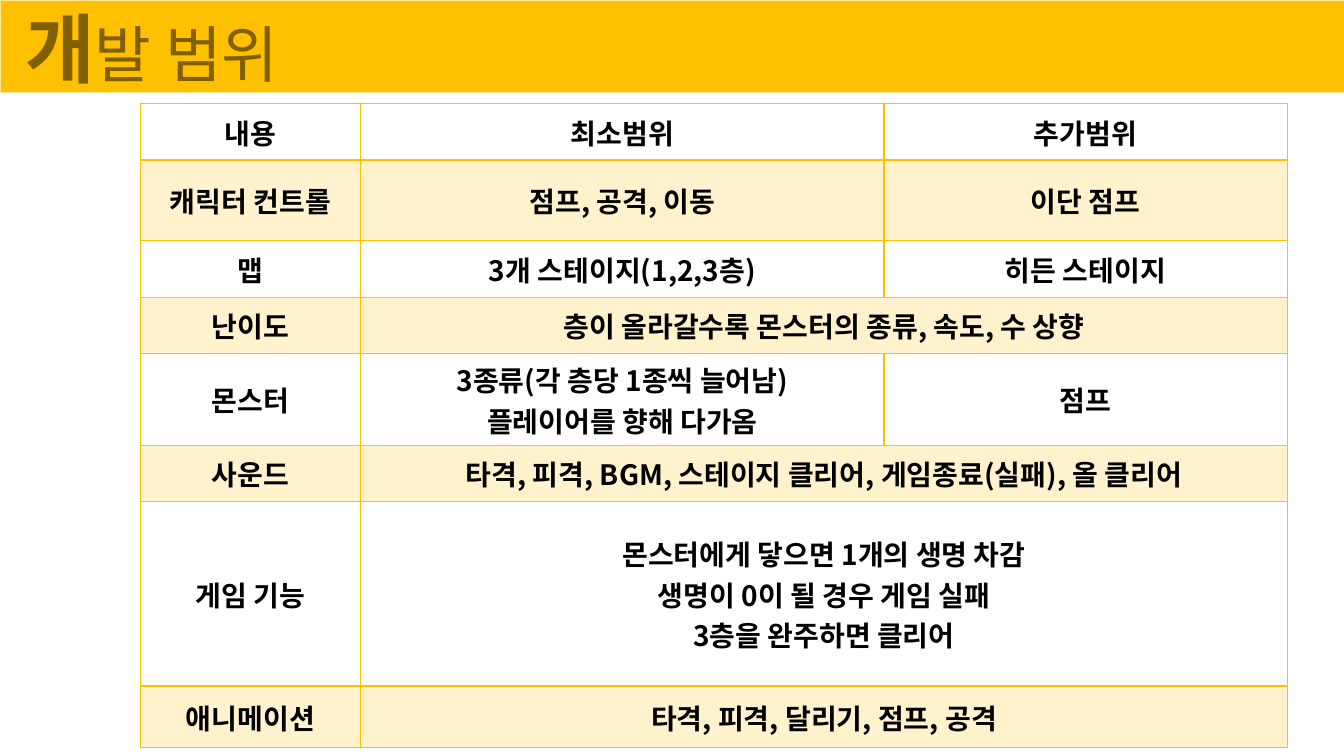
from lxml.etree import SubElement
from pptx import Presentation
from pptx.dml.color import RGBColor
from pptx.enum.shapes import MSO_SHAPE
from pptx.enum.text import MSO_ANCHOR, PP_ALIGN
from pptx.oxml.ns import qn
from pptx.util import Inches, Pt

COLS, ROWS = 40, 30
WIDE, HIGH = Inches(40 / 3), Inches(7.5)

HEADS = ["내용", "최소범위", "추가범위"]
SCOPE = [
    HEADS,
    ["캐릭터 컨트롤", "점프, 공격, 이동", "이단 점프"],
    ["맵", "3개 스테이지(1,2,3층)", "히든 스테이지"],
    ["난이도", "층이 올라갈수록 몬스터의 종류, 속도, 수 상향"],
    ["몬스터", "3종류(각 층당 1종씩 늘어남)\n플레이어를 향해 다가옴", "점프"],
    ["사운드", "타격, 피격, BGM, 스테이지 클리어, 게임종료(실패), 올 클리어"],
    ["게임 기능", "몬스터에게 닿으면 1개의 생명 차감\n"
     "생명이 0이 될 경우 게임 실패\n3층을 완주하면 클리어"],
    ["애니메이션", "타격, 피격, 달리기, 점프, 공격"],
]


def rgb(code):
    return RGBColor.from_string(code)


class Deck:
    """Holds the style and the slide; lengths are grid columns and rows."""
    font = "Noto Sans CJK KR"
    gold, pale, brown, black = "FFC000", "FFE699", "806000", "000000"

    def __init__(self):
        self.prs = Presentation()
        self.prs.slide_width, self.prs.slide_height = WIDE, HIGH
        self.slide = self.prs.slides.add_slide(self.prs.slide_layouts[6])

    def across(self, cols):
        return int(WIDE * cols / COLS)

    def down(self, rows):
        return int(HIGH * rows / ROWS)

    def box(self, left, top, wide, high):
        return (self.across(left), self.down(top),
                self.across(wide), self.down(high))

    def style(self, run, size, color, bold):
        run.font.size, run.font.bold = Pt(size), bold
        run.font.name = self.font
        run.font.color.rgb = rgb(color)
        SubElement(run.font._element, qn("a:ea"), typeface=self.font)

    def bar(self, *place):
        bar = self.slide.shapes.add_shape(MSO_SHAPE.RECTANGLE, *self.box(*place))
        bar.shadow.inherit = False
        bar.fill.solid()
        bar.fill.fore_color.rgb = rgb(self.gold)
        bar.line.color.rgb = rgb(self.pale)
        bar.line.width = Pt(1)

    def title(self, first, rest, *place):
        """Add a title whose first part is larger and bold."""
        frame = self.slide.shapes.add_textbox(*self.box(*place)).text_frame
        frame.word_wrap = True
        frame.vertical_anchor = MSO_ANCHOR.MIDDLE
        para = frame.paragraphs[0]
        para.line_spacing = 0.9
        for text, size, bold in ((first, 54, True), (rest, 44, False)):
            run = para.add_run()
            run.text = text
            self.style(run, size, self.brown, bold)

    def edge(self, cell, side, width):
        line = SubElement(cell._tc.get_or_add_tcPr(), qn(f"a:ln{side}"),
                          w=str(Pt(width)))
        fill = SubElement(line, qn("a:solidFill"))
        SubElement(fill, qn("a:srgbClr"), val=self.gold)

    def tint(self, cell, share):
        """Fill a cell with gold at the given opacity."""
        cell.fill.solid()
        cell.fill.fore_color.rgb = rgb(self.gold)
        color = cell._tc.tcPr.find(f"{qn('a:solidFill')}/{qn('a:srgbClr')}")
        SubElement(color, qn("a:alpha"), val=str(int(share * 100000)))

    def cell(self, cell, row, text):
        for side in "LRTB":
            heavy = (row, side) in ((0, "B"), (1, "T"))
            self.edge(cell, side, 2 if heavy else 1)
        if row % 2:
            self.tint(cell, 0.2)
        else:
            cell.fill.background()
        cell.vertical_anchor = MSO_ANCHOR.MIDDLE
        cell.text_frame.text = text
        for para in cell.text_frame.paragraphs:
            para.alignment = PP_ALIGN.CENTER
            for run in para.runs:
                self.style(run, 20, self.black, True)

    def table(self, data, left, top, wides, highs):
        """Add a table; a short row spans its last cell to the right edge."""
        place = self.box(left, top, sum(wides), sum(highs))
        table = self.slide.shapes.add_table(len(highs), len(wides), *place).table
        table.first_row = table.horz_banding = False
        for col, wide in zip(table.columns, wides):
            col.width = self.across(wide)
        last = len(wides) - 1
        for r, (texts, high) in enumerate(zip(data, highs)):
            table.rows[r].height = self.down(high)
            if len(texts) <= last:
                table.cell(r, len(texts) - 1).merge(table.cell(r, last))
            for c in range(last + 1):
                self.cell(table.cell(r, c), r, texts[c] if c < len(texts) else "")


def main():
    deck = Deck()
    deck.bar(0, 0, 43.29, 3.68)
    deck.table(SCOPE, 4.17, 4.12, [6.57, 15.57, 12],
               [2.24, 3.2, 2.24, 2.24, 3.6, 2.24, 7.32, 2.44])
    deck.title("개", "발 범위", 0.45, 0.4, 8.55, 3.44)
    deck.prs.save("out.pptx")


if __name__ == "__main__":
    main()
